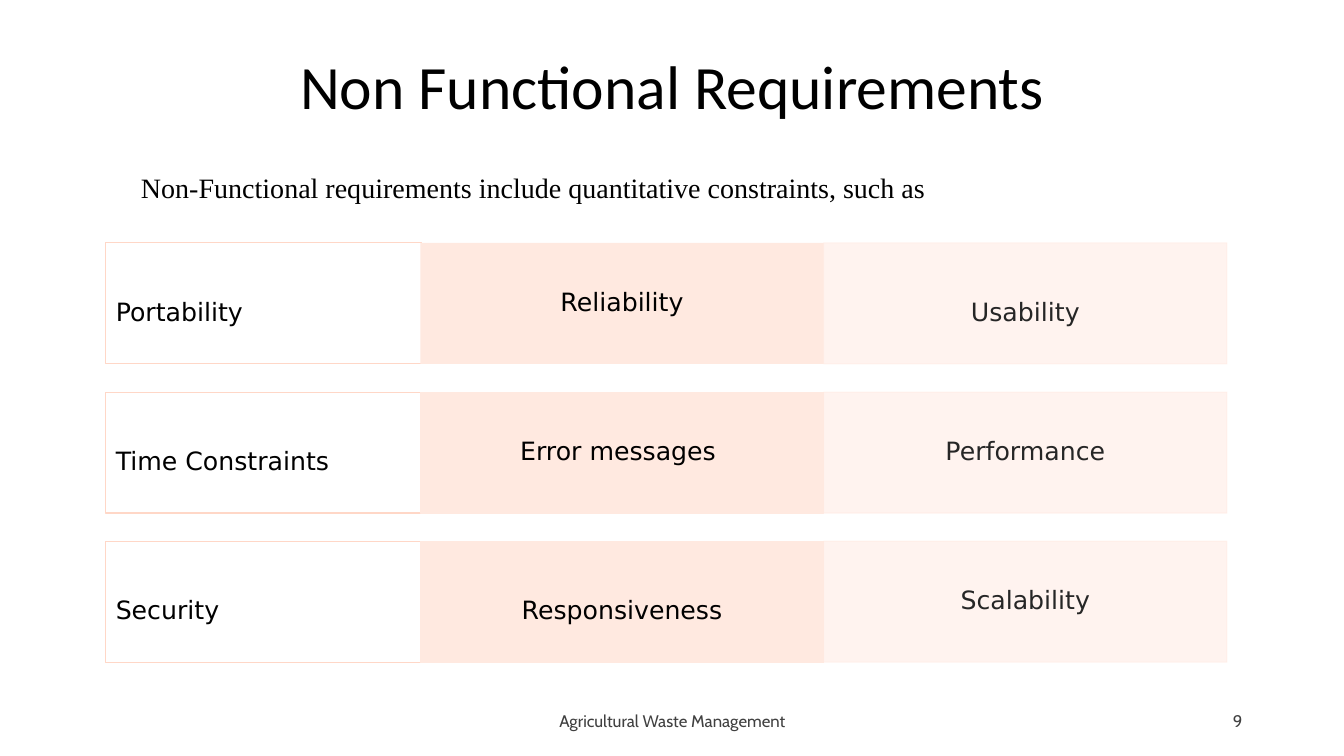
"""Build the Non Functional Requirements slide with a three-by-three grid of cards."""
from dataclasses import dataclass

from lxml.etree import SubElement
from pptx import Presentation
from pptx.dml.color import RGBColor
from pptx.enum.shapes import MSO_SHAPE as Shape
from pptx.enum.text import MSO_ANCHOR as Anchor, PP_ALIGN as Align
from pptx.oxml.ns import qn
from pptx.util import Inches, Pt


@dataclass(frozen=True)
class Theme:
    black: str = "000000"
    charcoal: str = "262626"
    gray: str = "404040"
    peach: str = "FFE9E0"
    outline: str = "FFD7C7"
    title_size: int = 44
    intro_size: int = 20
    card_size: int = 18
    footer_size: int = 12
    title_font: str = "Calibri"
    intro_font: str = "Times New Roman"
    card_font: str = "DejaVu Sans"
    footer_font: str = "Cabin"


theme = Theme()


def write_text(shape, text, *, font, size, color, align=Align.LEFT,
               anchor=Anchor.MIDDLE, spacing=1.0, margins=(0.1, 0.05)):
    frame = shape.text_frame
    frame.word_wrap = True
    frame.vertical_anchor = anchor
    frame.margin_left = frame.margin_right = Inches(margins[0])
    frame.margin_top = frame.margin_bottom = Inches(margins[1])
    paragraph = frame.paragraphs[0]
    paragraph.text = text
    paragraph.alignment = align
    paragraph.line_spacing = spacing
    paragraph.space_before = Pt(0)
    paragraph.font.name = font
    paragraph.font.size = Pt(size)
    paragraph.font.color.rgb = RGBColor.from_string(color)


def paint(fill_format, color, opacity):
    fill_format.solid()
    fill_format.fore_color.rgb = RGBColor.from_string(color)
    if opacity < 100:
        color_element = fill_format._xPr.find(qn("a:solidFill")).find(qn("a:srgbClr"))
        SubElement(color_element, qn("a:alpha"), val=str(opacity * 1000))


presentation = Presentation()
presentation.slide_width = Inches(13.33)
presentation.slide_height = Inches(7.5)
slide = presentation.slides.add_slide(presentation.slide_layouts[5])

title = slide.shapes.title
title.left, title.top = Inches(0.92), Inches(0.4)
title.width, title.height = Inches(11.5), Inches(0.97)
write_text(title, "Non Functional Requirements", font=theme.title_font,
           size=theme.title_size, color=theme.black, align=Align.CENTER, spacing=0.9)

columns = [
    (1.05, 3.13, None, theme.outline, 100, theme.black, Align.JUSTIFY, (0.1, 0.05)),
    (4.17, 4, theme.peach, theme.peach, 100, theme.black, Align.CENTER, (0, 0)),
    (8.17, 4, theme.peach, theme.peach, 50, theme.charcoal, Align.CENTER, (0.1, 0.05)),
]
rows = [
    [("Portability ", 1.5), ("Reliability", 0.9), ("Usability", 1.5)],
    [("Time Constraints", 1.5), ("Error messages ", 0.9), ("Performance", 0.9)],
    [("Security", 1.5), ("Responsiveness", 1.5), ("Scalability", 0.9)],
]
for row_index, row in enumerate(rows):
    top = 2.41 + 1.48 * row_index
    for (text, spacing), column in zip(row, columns):
        left, width, fill, line, opacity, color, align, margins = column
        card = slide.shapes.add_shape(Shape.RECTANGLE, Inches(left), Inches(top),
                                      Inches(width), Inches(1.2))
        card.shadow.inherit = False
        if fill:
            paint(card.fill, fill, opacity)
        else:
            card.fill.background()
        if text == "Reliability":
            card.line.fill.background()
        else:
            card.line.width = Pt(0.75)
            paint(card.line.fill, line, opacity)
        write_text(card, text, font=theme.card_font, size=theme.card_size, color=color,
                   align=align, spacing=spacing, margins=margins)

footer = dict(font=theme.footer_font, size=theme.footer_size, color=theme.gray)
intro = dict(font=theme.intro_font, size=theme.intro_size, color=theme.black,
             anchor=Anchor.TOP)
labels = [
    ("Agricultural Waste Management", 4.42, 6.95, 4.5, 0.4,
     dict(footer, align=Align.CENTER)),
    ("9", 9.42, 6.95, 3, 0.4, dict(footer, align=Align.RIGHT)),
    ("Non-Functional requirements include quantitative constraints, such as",
     1.3, 1.64, 10.74, 0.44, intro),
]
for text, left, top, width, height, text_format in labels:
    label = slide.shapes.add_textbox(Inches(left), Inches(top), Inches(width), Inches(height))
    write_text(label, text, **text_format)

presentation.save("out.pptx")
